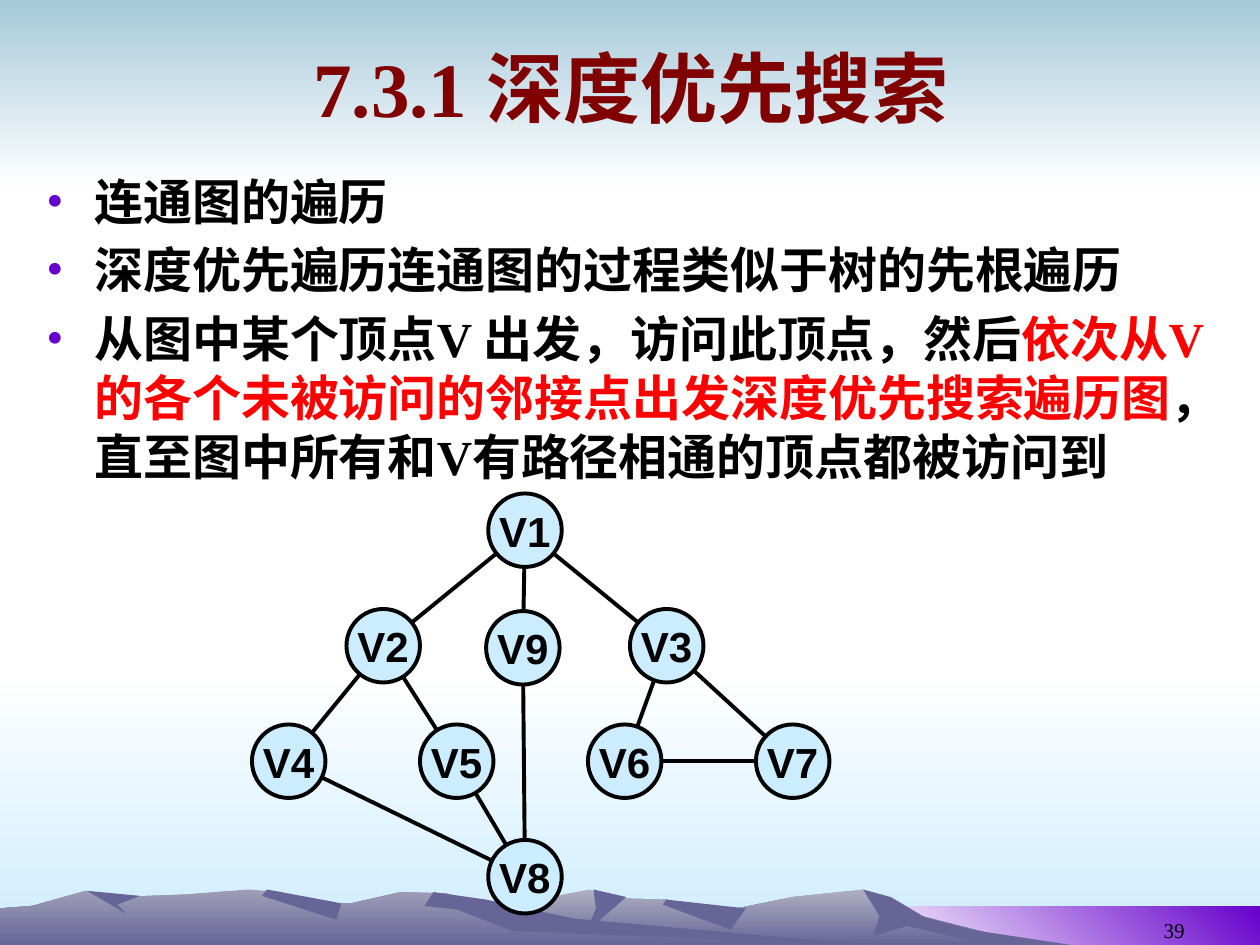
from math import hypot

from lxml.etree import SubElement
from pptx import Presentation
from pptx.dml.color import RGBColor
from pptx.enum.shapes import MSO_CONNECTOR, MSO_SHAPE
from pptx.enum.text import MSO_ANCHOR, PP_ALIGN
from pptx.oxml.ns import qn
from pptx.util import Inches, Pt

BLACK = RGBColor(0x00, 0x00, 0x00)
WHITE = RGBColor(0xFF, 0xFF, 0xFF)
MAROON = RGBColor(0x80, 0x00, 0x00)
RED = RGBColor(0xFF, 0x00, 0x00)
PURPLE = RGBColor(0x66, 0x00, 0xCC)
SKY = RGBColor(0xA6, 0xC9, 0xDA)
PALE_BLUE = RGBColor(0xCC, 0xEC, 0xFF)
SLATE = RGBColor(0x67, 0x65, 0x97)
FAR_RIDGE = RGBColor(0xAE, 0xAE, 0xC2)
NEAR_RIDGE = RGBColor(0x9F, 0x9E, 0xB8)

prs = Presentation()
prs.slide_width, prs.slide_height = Inches(10), Inches(7.5)
slide = prs.slides.add_slide(prs.slide_layouts[6])
shapes = slide.shapes
UNIT = prs.slide_width / 120  # grid of 120 columns by 90 rows


def paint(shape, colors, angle=270):
    """Fill with one colour, or with a gradient between two."""
    shape.shadow.inherit = False
    shape.line.fill.background()
    if len(colors) == 1:
        shape.fill.solid()
        shape.fill.fore_color.rgb = colors[0]
        return
    shape.fill.gradient()
    shape.fill.gradient_angle = angle
    for stop, color in zip(shape.fill.gradient_stops, colors):
        stop.color.rgb = color


def write(paragraph, text, color, font_format):
    run = paragraph.add_run()
    run.text = text
    run.font.color.rgb = color
    for key, value in font_format.items():
        setattr(run.font, key, value)


# Background bands: column, row, columns, rows
for box, colors, angle in [
    ((0, 64, 120, 26), (WHITE, PALE_BLUE), 270),
    ((0, 0, 120, 18), (SKY, WHITE), 270),
    ((82, 86.3, 38, 3.7), (WHITE, PURPLE), 45),
]:
    band = shapes.add_shape(MSO_SHAPE.RECTANGLE, *(int(n * UNIT) for n in box))
    paint(band, colors, angle)

# Mountains, far to near: points in thousandths of the slide width
mountains = [
    ((FAR_RIDGE, SLATE), [
        (258, 750), (355, 725), (438, 712), (468, 706), (486, 713), (529, 714),
        (566, 725), (629, 712), (685, 706), (723, 725), (820, 750)]),
    ((SLATE,), [
        (685, 706), (698, 727), (693, 743), (720, 735), (785, 750), (850, 750),
        (771, 738), (734, 728), (707, 712)]),
    ((SLATE,), [(471, 706), (473, 721), (465, 740), (497, 712)]),
    ((SLATE,), [(529, 714), (526, 718), (580, 738), (592, 721)]),
    ((NEAR_RIDGE, SLATE), [
        (0, 750), (0, 721), (26, 719), (68, 707), (94, 712), (148, 710), (197, 706),
        (223, 708), (236, 717), (279, 717), (318, 708), (354, 709), (432, 732), (690, 750)]),
    ((SLATE,), [(212, 706), (208, 711), (267, 730), (271, 717)]),
    ((SLATE,), [
        (344, 708), (337, 719), (363, 722), (407, 739), (690, 750), (455, 729), (386, 714)]),
    ((SLATE,), [(69, 707), (100, 725), (93, 718), (111, 711)]),
]
for colors, points in mountains:
    builder = shapes.build_freeform(*points[0], scale=prs.slide_width / 1000)
    builder.add_line_segments(points[1:], close=True)
    paint(builder.convert_to_shape(), colors)

# Title, body and page number frames
frames = {}
for part, box, anchor in [
    ("title", (0.51, 0.13, 9, 1.12), MSO_ANCHOR.MIDDLE),
    ("body", (0.27, 1.31, 9.45, 5.67), MSO_ANCHOR.TOP),
    ("page", (7.17, 7.03, 2.33, 0.5), MSO_ANCHOR.BOTTOM),
]:
    frame = shapes.add_textbox(*(Inches(n) for n in box)).text_frame
    frame.word_wrap = True
    frame.vertical_anchor = anchor
    frames[part] = frame

heading = frames["title"].paragraphs[0]
heading.alignment = PP_ALIGN.CENTER
write(heading, "7.3.1 深度优先搜索", MAROON,
      dict(name="Times New Roman", size=Pt(44), bold=True))

page_number = frames["page"].paragraphs[0]
page_number.alignment = PP_ALIGN.RIGHT
write(page_number, "39", BLACK, dict(name="Times New Roman", size=Pt(12)))

# Bulleted explanation
explanation = [
    [("连通图的遍历", BLACK)],
    [("深度优先遍历连通图的过程类似于树的先根遍历", BLACK)],
    [("从图中某个顶点V 出发，访问此顶点，然后", BLACK),
     ("依次从V的各个未被访问的邻接点出发深度优先搜索遍历图", RED),
     ("，直至图中所有和V有路径相通的顶点都被访问到", BLACK)],
]
body_format = dict(name="Times New Roman", size=Pt(28), bold=True)
for index, runs in enumerate(explanation):
    item = frames["body"].add_paragraph() if index else frames["body"].paragraphs[0]
    props = item._p.get_or_add_pPr()
    props.set("marL", str(Inches(0.38)))
    props.set("indent", str(-Inches(0.38)))
    SubElement(SubElement(props, qn("a:buClr")), qn("a:srgbClr"), val=str(PURPLE))
    SubElement(props, qn("a:buFont"), typeface="Times New Roman")
    SubElement(props, qn("a:buChar"), char="•")
    if index:
        item.space_before = Pt(5.6)
    for text, color in runs:
        write(item, text, color, body_format)

# Graph vertices: centre column and row
DIAMETER = 7
vertices = {
    "V1": (50, 50.5), "V2": (36.5, 61.5), "V3": (63.5, 61.5), "V8": (50, 83.5),
    "V9": (49.8, 61.7),
}
for index, label in enumerate(["V4", "V5", "V6", "V7"]):
    vertices[label] = (27.5 + 16 * index, 72.5)

# Graph edges, ending a little inside each vertex
INSET = 2.5
edges = ["V1 V2", "V1 V9", "V1 V3", "V2 V4", "V2 V5", "V3 V6", "V3 V7", "V6 V7",
         "V4 V8", "V5 V8", "V9 V8"]
for pair in edges:
    (x1, y1), (x2, y2) = (vertices[label] for label in pair.split())
    share = INSET / hypot(x2 - x1, y2 - y1)
    dx, dy = (x2 - x1) * share, (y2 - y1) * share
    ends = (x1 + dx, y1 + dy, x2 - dx, y2 - dy)
    edge = shapes.add_connector(MSO_CONNECTOR.STRAIGHT, *(int(n * UNIT) for n in ends))
    edge.line.color.rgb = BLACK
    edge.line.width = Pt(2.25)
    SubElement(edge._element.spPr, qn("a:effectLst"))

# Vertices on top of the edges
vertex_format = dict(name="Arial", size=Pt(24), bold=True)
for label, (column, row) in sorted(vertices.items()):
    box = (column - DIAMETER / 2, row - DIAMETER / 2, DIAMETER, DIAMETER)
    vertex = shapes.add_shape(MSO_SHAPE.OVAL, *(int(n * UNIT) for n in box))
    paint(vertex, (PALE_BLUE,))
    vertex.line.color.rgb = BLACK
    vertex.line.width = Pt(2.25)
    vertex.text_frame.word_wrap = False
    vertex.text_frame.vertical_anchor = MSO_ANCHOR.MIDDLE
    caption = vertex.text_frame.paragraphs[0]
    caption.alignment = PP_ALIGN.CENTER
    write(caption, label, BLACK, vertex_format)

prs.save("out.pptx")
